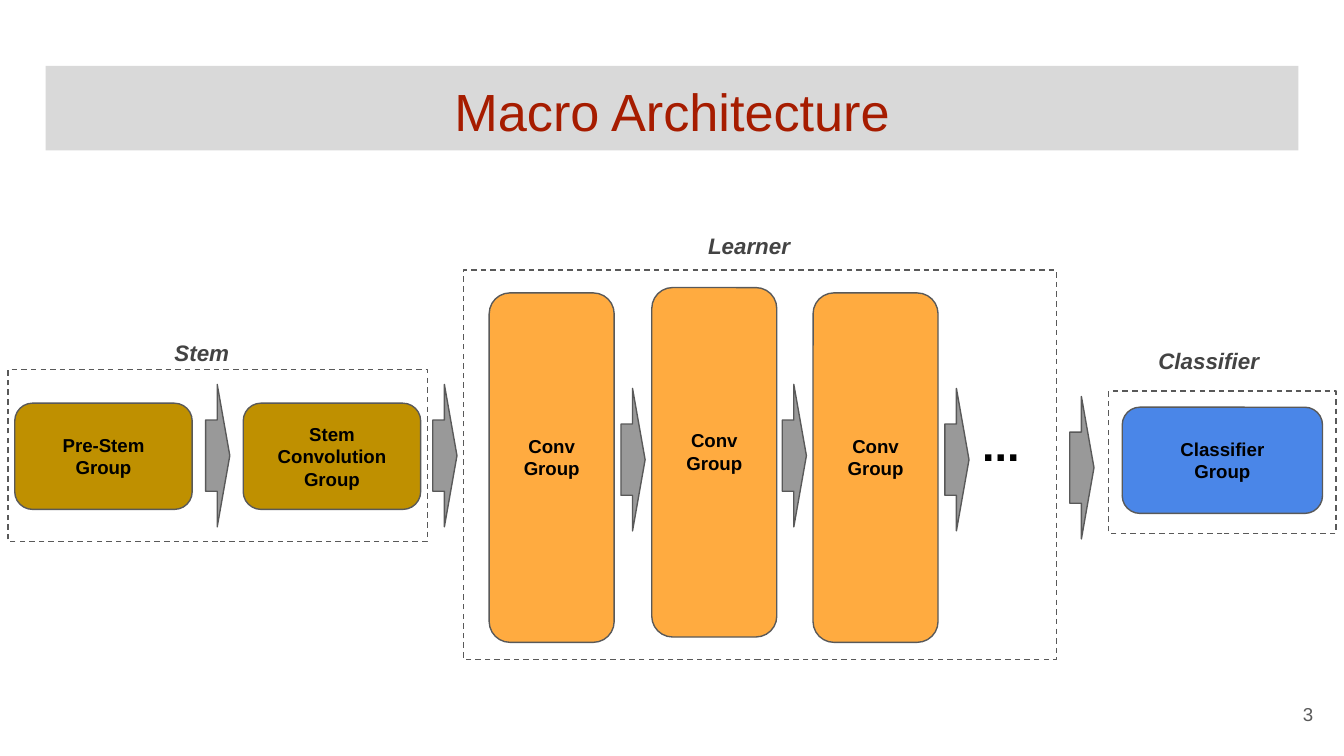
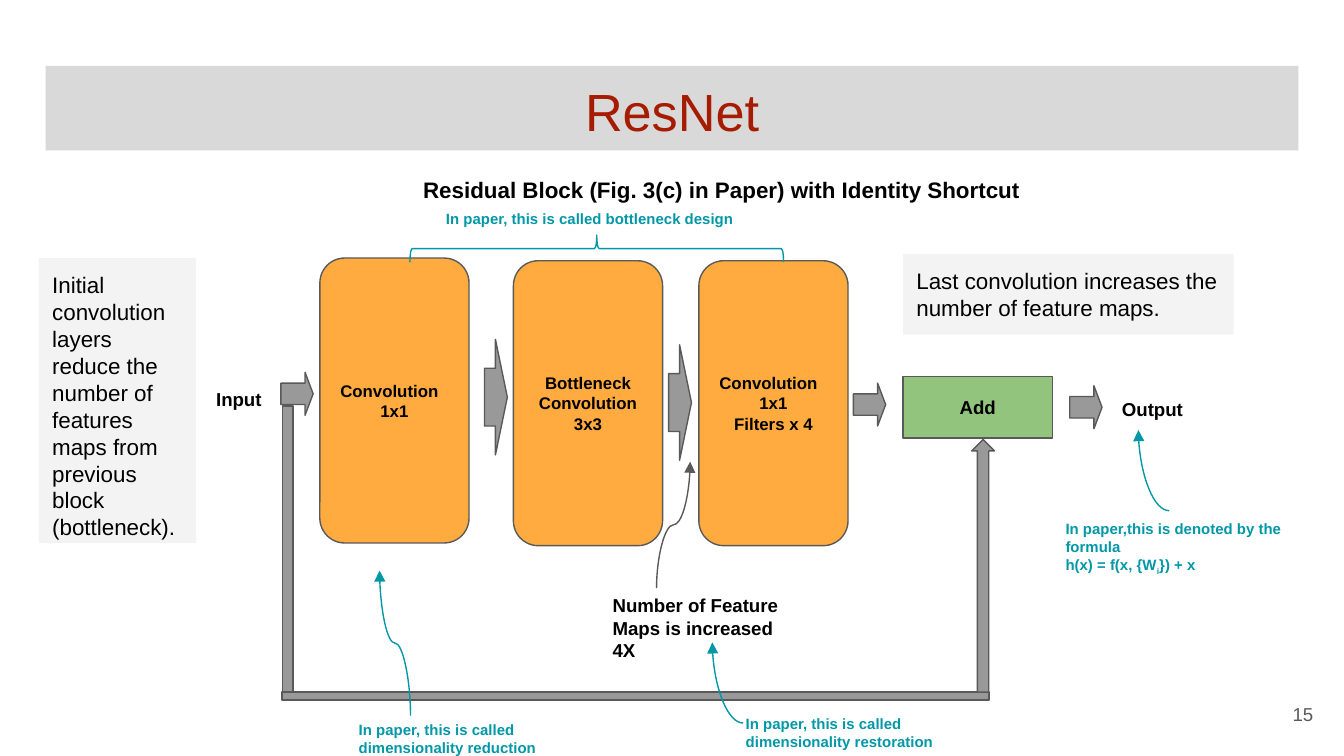
from lxml.etree import SubElement
from pptx import Presentation
from pptx.dml.color import RGBColor
from pptx.enum.dml import MSO_LINE
from pptx.enum.shapes import MSO_CONNECTOR, MSO_SHAPE
from pptx.enum.text import MSO_ANCHOR, PP_ALIGN
from pptx.oxml.ns import qn
from pptx.util import Pt

PX = 9144  # 100 px to the inch
FONT = "Arial"
BLACK = RGBColor(0x00, 0x00, 0x00)
TITLE_RED = RGBColor(0xA6, 0x1C, 0x00)
BAND_GRAY = RGBColor(0xD9, 0xD9, 0xD9)
NOTE_GRAY = RGBColor(0xF3, 0xF3, 0xF3)
ARROW_GRAY = RGBColor(0x99, 0x99, 0x99)
OUTLINE = RGBColor(0x59, 0x59, 0x59)
LABEL_GRAY = RGBColor(0x43, 0x43, 0x43)
STEM_GOLD = RGBColor(0xBF, 0x90, 0x00)
CONV_ORANGE = RGBColor(0xFF, 0xAB, 0x40)
CLASSIFIER_BLUE = RGBColor(0x4A, 0x86, 0xE8)
ADD_GREEN = RGBColor(0x93, 0xC4, 0x7D)
TEAL = RGBColor(0x00, 0x97, 0xA7)
LEFT, CENTER, RIGHT = PP_ALIGN.LEFT, PP_ALIGN.CENTER, PP_ALIGN.RIGHT
RECT, ROUND = MSO_SHAPE.RECTANGLE, MSO_SHAPE.ROUNDED_RECTANGLE
DOWN_ARROW = MSO_SHAPE.DOWN_ARROW


def add_block(slide, kind, box, fill=None, line=None, text="", size=10, color=BLACK,
              bold=True, italic=False, align=CENTER, anchor=MSO_ANCHOR.MIDDLE):
    """Add a shape, or a text box when kind is None.

    In text, a line feed starts a paragraph and a vertical tab breaks a line.
    """
    box = [length * PX for length in box]
    if kind is None:
        shape = slide.shapes.add_textbox(*box)
    else:
        shape = slide.shapes.add_shape(kind, *box)
        shape.shadow.inherit = False
        if fill is None:
            shape.fill.background()
        else:
            shape.fill.solid()
            shape.fill.fore_color.rgb = fill
        if line is None:
            shape.line.fill.background()
        else:
            shape.line.color.rgb = line
            shape.line.width = Pt(0.75)
    if not text:
        return shape
    frame = shape.text_frame
    frame.word_wrap = True
    frame.vertical_anchor = anchor
    frame.margin_left = frame.margin_right = 10 * PX
    frame.margin_top = frame.margin_bottom = 10 * PX
    for index, content in enumerate(text.split("\n")):
        paragraph = frame.add_paragraph() if index else frame.paragraphs[0]
        paragraph.alignment = align
        for part_index, part in enumerate(content.split("\v")):
            if part_index:
                paragraph.add_line_break()
            run = paragraph.add_run()
            run.text = part
            run.font.name = FONT
            run.font.size = Pt(size)
            run.font.color.rgb = color
            run.font.bold = bold
            run.font.italic = italic
    return shape


def add_curve(slide, geometry, begin, end, turn, color):
    """Add a curved arrow whose begin and end are given before its turn in degrees."""
    points = [length * PX for length in begin + end]
    curve = slide.shapes.add_connector(MSO_CONNECTOR.CURVE, *points)
    curve.line.color.rgb = color
    curve.line.width = Pt(0.75)
    properties = curve._element.spPr
    properties.find(qn("a:xfrm")).set("rot", str(turn * 60000))
    properties.find(qn("a:prstGeom")).set("prst", geometry)
    SubElement(properties.find(qn("a:ln")), qn("a:tailEnd")).set("type", "triangle")
    SubElement(properties, qn("a:effectLst"))


presentation = Presentation()
presentation.slide_width = 1000 * PX
presentation.slide_height = 5143500
slides = []
for title, number in (("Macro Architecture", "3"), ("ResNet", "15")):
    slide = presentation.slides.add_slide(presentation.slide_layouts[6])
    add_block(slide, RECT, (34, 49, 932, 63), BAND_GRAY, text=title, size=28,
              color=TITLE_RED, bold=False, anchor=MSO_ANCHOR.TOP)
    add_block(slide, None, (927, 510, 60, 43), text=number, color=OUTLINE,
              bold=False, align=RIGHT)
    slides.append(slide)
macro_slide, resnet_slide = slides

# Macro architecture: stem, learner and classifier
for frame_box, label, label_box in (
    ((6, 275, 312, 128), "Stem", (120, 242, 83, 43)),
    ((345, 201, 441, 290), "Learner", (517, 163, 83, 43)),
    ((825, 291, 169, 106), "Classifier", (852, 248, 99, 43)),
):
    frame_shape = add_block(macro_slide, RECT, frame_box, line=OUTLINE)
    frame_shape.line.dash_style = MSO_LINE.DASH
    add_block(macro_slide, None, label_box, text=label, size=12, color=LABEL_GRAY,
              italic=True, align=LEFT, anchor=MSO_ANCHOR.TOP)

for box, fill, text in (
    ((11, 300, 132, 79), STEM_GOLD, "Pre-Stem\vGroup"),
    ((181, 300, 132, 79), STEM_GOLD, "Stem\vConvolution Group"),
    ((835, 303, 149, 79), CLASSIFIER_BLUE, "Classifier\vGroup"),
):
    add_block(macro_slide, ROUND, box, fill, OUTLINE, text)

for left, top, text in ((364, 218, "Conv Group"), (485, 214, "Conv Group"),
                        (605, 218, "Conv\nGroup")):
    conv_group = add_block(macro_slide, ROUND, (left, top, 93, 260), CONV_ORANGE,
                           OUTLINE, text)
    conv_group.text_frame.margin_bottom = 26 * PX

add_block(macro_slide, None, (721, 300, 83, 46), text="...", size=24, align=LEFT,
          anchor=MSO_ANCHOR.TOP)

# Residual block: the three convolutions and the sum
for left, top, text, alignments in (
    (238, 192, "Convolution\n1x1", (LEFT, CENTER)),
    (382, 194, "Bottleneck\nConvolution\n3x3", (CENTER, CENTER, CENTER)),
    (520, 194, "Convolution\n1x1\nFilters x 4", (LEFT, CENTER, CENTER)),
):
    convolution = add_block(resnet_slide, ROUND, (left, top, 111, 212), CONV_ORANGE,
                            OUTLINE, text, size=9)
    for paragraph, alignment in zip(convolution.text_frame.paragraphs, alignments):
        paragraph.alignment = alignment
add_block(resnet_slide, RECT, (672, 280, 111, 46), ADD_GREEN, OUTLINE, "Add")

# Right-pointing arrows of both slides
for slide, width, height, head, places in (
    (macro_slide, 106, 18, 0.52,
     ((109, 330), (278, 330), (418, 333), (538, 330), (659, 333), (752, 339))),
    (resnet_slide, 86, 17, 0.52, ((326, 287), (463, 291))),
    (resnet_slide, 32, 24, 0.25, ((205, 281), (631, 289), (792, 291))),
):
    for left, top in places:
        arrow = add_block(slide, DOWN_ARROW, (left, top, width, height), ARROW_GRAY, OUTLINE)
        arrow.adjustments[1] = head
        arrow.rotation = 270

# Identity shortcut
for kind, box in (
    (RECT, (210, 302, 8, 219)),
    (RECT, (210, 515, 526, 6)),
    (MSO_SHAPE.UP_ARROW, (723, 327, 17, 188)),
):
    add_block(resnet_slide, kind, box, ARROW_GRAY, OUTLINE)

brace = add_block(resnet_slide, MSO_SHAPE.LEFT_BRACE, (434, 46, 20, 278), line=TEAL)
brace.rotation = 90

for box, text, size, color in (
    ((305, 121, 474, 35), "Residual Block (Fig. 3(c) in Paper) with Identity Shortcut", 12, BLACK),
    ((151, 280, 58, 26), "Input", 10, BLACK),
    ((825, 288, 67, 26), "Output", 10, BLACK),
    ((446, 432, 149, 66), "Number of Feature Maps is increased 4X", 10, BLACK),
    ((322, 149, 246, 26), "In paper, this is called bottleneck design", 8, TEAL),
    ((257, 526, 205, 26), "In paper, this is called dimensionality reduction", 8, TEAL),
    ((545, 522, 205, 26), "In paper, this is called dimensionality restoration", 8, TEAL),
):
    add_block(resnet_slide, None, box, text=text, size=size, color=color, align=LEFT,
              anchor=MSO_ANCHOR.TOP)

formula = add_block(resnet_slide, None, (783, 377, 217, 46),
                    text="In paper,this is denoted by the formula\nh(x) = f(x, {W",
                    size=8, color=TEAL, align=LEFT, anchor=MSO_ANCHOR.TOP)
for text, baseline in (("i", -25000), ("}) + x", 0)):
    run = formula.text_frame.paragraphs[1].add_run()
    run.text = text
    run.font.name = FONT
    run.font.size = Pt(8)
    run.font.bold = True
    run.font.color.rgb = TEAL
    run.font._element.set("baseline", str(baseline))

for box, text in (
    ((29, 192, 117, 212), "Initial convolution layers reduce the number of features maps "
                          "from previous block\n(bottleneck)."),
    ((672, 189, 246, 60), "Last convolution increases the number of feature maps."),
):
    add_block(resnet_slide, RECT, box, NOTE_GRAY, text=text, size=12, bold=False,
              align=LEFT, anchor=MSO_ANCHOR.TOP)

for geometry, begin, end, turn, color in (
    ("curvedConnector3", (454, 378), (548, 403), 270, OUTLINE),
    ("curvedConnector3", (348, 467), (240, 490), 90, TEAL),
    ("curvedConnector2", (530, 478), (553, 538), 180, TEAL),
    ("curvedConnector2", (847, 320), (870, 380), 180, TEAL),
):
    add_curve(resnet_slide, geometry, begin, end, turn, color)

presentation.save("out.pptx")
